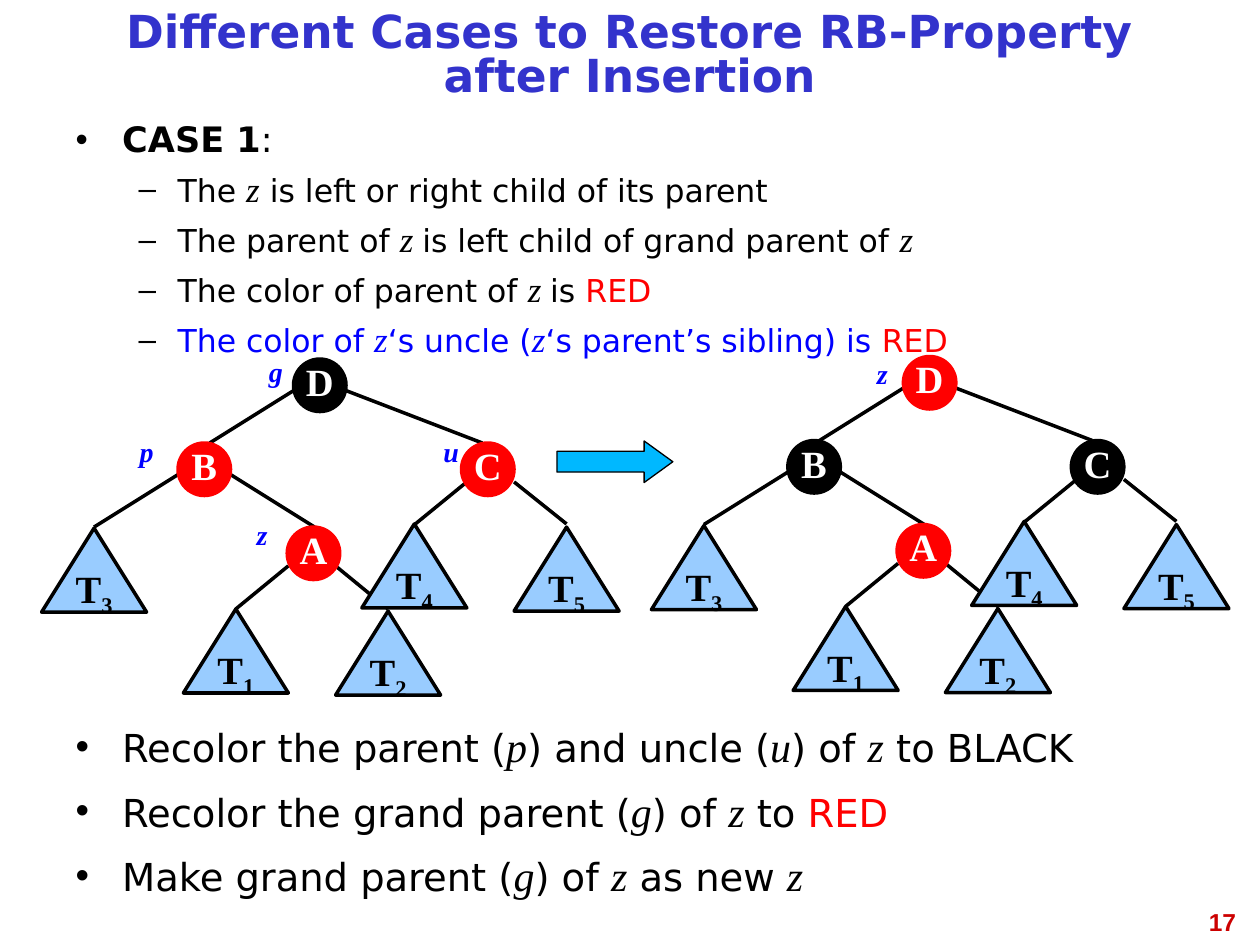
from dataclasses import dataclass

from lxml.etree import SubElement
from pptx import Presentation
from pptx.dml.color import RGBColor
from pptx.enum.shapes import MSO_CONNECTOR as Connector, MSO_SHAPE as Preset
from pptx.enum.text import MSO_ANCHOR as Anchor, MSO_AUTO_SIZE as AutoSize, PP_ALIGN as Align
from pptx.oxml.ns import qn
from pptx.util import Inches, Pt


@dataclass(frozen=True)
class Theme:
    sans: str = "DejaVu Sans"
    serif: str = "Times New Roman"
    number_font: str = "Arial"
    black: str = "000000"
    white: str = "FFFFFF"
    red: str = "FF0000"
    blue: str = "0000FF"
    title: str = "3333CC"
    number: str = "CC0000"
    subtree: str = "99CCFF"
    arrow: str = "00B8FF"
    title_size: int = 26
    node_size: int = 22
    label_size: int = 16
    number_size: int = 14
    tight: float = 0.81


THEME = Theme()
CELL = 1 / 12  # grid step of a tree, in inches
NODE, SUBTREE = (5, 5), (10, 8)  # sizes in grid cells
LABEL = (10, 4.4)

EDGES = [
    ((29, 3), (42, 8)), ((16, 8), (24, 3)), ((18, 11), (26, 16)), ((5, 16), (13, 11)),
    ((18.5, 23.8), (23.5, 19.7)), ((33, 23.8), (28, 19.7)),
    ((35.6, 15.7), (40.5, 11.7)), ((50, 15.7), (45, 11.7)),
]
NODES = {"D": (24, 0), "B": (13, 8), "A": (23.4, 16), "C": (40, 8)}
SUBTREES = {"1": (13.5, 23.8), "2": (28, 24), "3": (0, 16.1), "4": (30.5, 15.7), "5": (45, 16)}

# Pieces between bars: ~ starts a variable, ! a red word, # a bold word.
CASE_LINES = [
    (0, 20, THEME.black, "#CASE 1|:"),
    (1, 18, THEME.black, "The |~z| is left or right child of its parent"),
    (1, 18, THEME.black, "The parent of |~z |is left child of grand parent of |~z"),
    (1, 18, THEME.black, "The color of parent of |~z |is |!RED"),
    (1, 18, THEME.blue, "The color of |~z|‘s uncle (|~z|‘s parent’s sibling) is |!RED"),
]
ACTION_LINES = [
    (0, 22, THEME.black, "Recolor the parent (|~p|) and uncle (|~u|) of |~z| to BLACK"),
    (0, 22, THEME.black, "Recolor the grand parent (|~g|) of |~z| to |!RED"),
    (0, 22, THEME.black, "Make grand parent (|~g|) of |~z| as new |~z"),
]
BULLETS = [("•", 0.37, 0.37, 8), ("–", 0.81, 0.31, 7)]  # mark, margin, hanging, space before


def place(shape, box):
    for name, value in zip(("left", "top", "width", "height"), box):
        setattr(shape, name, Inches(value))


def add_run(paragraph, text, color, **formats):
    run = paragraph.add_run()
    run.text = text
    for name, value in formats.items():
        setattr(run.font, name, value)
    run.font.color.rgb = RGBColor.from_string(color)
    return run


def format_frame(frame, wrap=True, anchor=Anchor.TOP):
    formats = {"word_wrap": wrap, "auto_size": AutoSize.NONE, "vertical_anchor": anchor}
    for name, value in formats.items():
        setattr(frame, name, value)


def add_title(slide, box):
    title = slide.shapes.title
    place(title, box)
    format_frame(title.text_frame, anchor=Anchor.MIDDLE)
    paragraph = title.text_frame.paragraphs[0]
    paragraph.alignment, paragraph.line_spacing = Align.CENTER, THEME.tight
    add_run(paragraph, "Different Cases to Restore RB-Property after Insertion",
            THEME.title, name=THEME.sans, size=Pt(THEME.title_size), bold=True)


def set_bullet(paragraph, mark, margin, hanging):
    properties = paragraph._p.get_or_add_pPr()
    properties.set("marL", str(Inches(margin)))
    properties.set("indent", str(-Inches(hanging)))
    color = SubElement(properties, qn("a:buClr"))
    SubElement(color, qn("a:srgbClr"), val=THEME.black)
    SubElement(properties, qn("a:buChar"), char=mark)


def add_list(body, box, lines, line_spacing):
    place(body, box)
    frame = body.text_frame
    format_frame(frame)
    for index, (level, size, color, text) in enumerate(lines):
        paragraph = frame.add_paragraph() if index else frame.paragraphs[0]
        mark, margin, hanging, space = BULLETS[level]
        set_bullet(paragraph, mark, margin, hanging)
        formats = {"level": level, "alignment": Align.JUSTIFY, "line_spacing": line_spacing,
                   "space_before": Pt(space if index else 0)}
        for name, value in formats.items():
            setattr(paragraph, name, value)
        for piece in text.split("|"):
            variable = piece.startswith("~")
            add_run(paragraph, piece.lstrip("~!#"),
                    THEME.red if piece.startswith("!") else color,
                    name=THEME.serif if variable else THEME.sans,
                    size=Pt(size + 2 if variable and size != 20 else size),
                    italic=variable, bold=piece.startswith("#"))


def add_preset(slide, preset, box, fill, line, width):
    shape = slide.shapes.add_shape(preset, *map(Inches, box))
    shape.shadow.inherit = False
    shape.fill.solid()
    shape.fill.fore_color.rgb = RGBColor.from_string(fill)
    shape.line.color.rgb = RGBColor.from_string(line)
    shape.line.width = Pt(width)
    return shape


def add_text(slide, box, text, color, align, **formats):
    text_box = slide.shapes.add_textbox(*map(Inches, box))
    format_frame(text_box.text_frame)
    paragraph = text_box.text_frame.paragraphs[0]
    paragraph.alignment = align
    add_run(paragraph, text, color, bold=True, **formats)


def add_tree(slide, left, top, black_nodes, labels):
    """Draw a tree from its top left corner, with parts set in grid cells."""
    def point(cell):
        return left + cell[0] * CELL, top + cell[1] * CELL

    def box(cell, size):
        return *point(cell), size[0] * CELL, size[1] * CELL

    def write(shape, text, color, subscript=""):
        format_frame(shape.text_frame, wrap=False, anchor=Anchor.MIDDLE)
        paragraph = shape.text_frame.paragraphs[0]
        paragraph.alignment, paragraph.line_spacing = Align.CENTER, THEME.tight
        formats = {"name": THEME.serif, "size": Pt(THEME.node_size), "bold": True}
        add_run(paragraph, text, color, **formats)
        if subscript:
            run = add_run(paragraph, subscript, color, **formats)
            run._r.get_or_add_rPr().set("baseline", "-25000")

    for start, end in EDGES:
        edge = slide.shapes.add_connector(
            Connector.STRAIGHT, *map(Inches, point(start) + point(end)))
        edge.line.color.rgb = RGBColor.from_string(THEME.black)
        edge.line.width = Pt(2)
        SubElement(edge._element.spPr, qn("a:effectLst"))
    for name, cell in NODES.items():
        color = THEME.black if name in black_nodes else THEME.red
        write(add_preset(slide, Preset.OVAL, box(cell, NODE), color, color, 2),
              name, THEME.white)
    for number, cell in SUBTREES.items():
        triangle = add_preset(slide, Preset.ISOSCELES_TRIANGLE, box(cell, SUBTREE),
                              THEME.subtree, THEME.black, 2)
        write(triangle, "T", THEME.black, number)
    for text, cell in labels.items():
        add_text(slide, box(cell, LABEL), text, THEME.blue, Align.CENTER,
                 name=THEME.serif, size=Pt(THEME.label_size), italic=True)


def add_arrow(slide, box):
    arrow = add_preset(slide, Preset.RIGHT_ARROW, box, THEME.arrow, THEME.black, 0.75)
    arrow.adjustments[1] = 0.69


def main():
    presentation = Presentation()
    presentation.slide_width, presentation.slide_height = Inches(10), Inches(7.5)
    slide = presentation.slides.add_slide(presentation.slide_layouts[3])
    add_title(slide, (0.5, 0.08, 9, 0.75))
    add_list(slide.placeholders[1], (0.5, 0.92, 9, 2), CASE_LINES, 0.9)
    add_tree(slide, 0.33, 2.85, "D",
             {"p": (5, 6.6), "u": (34, 6.6), "g": (17.3, -1), "z": (16, 14.5)})
    add_list(slide.placeholders[2], (0.5, 5.67, 9, 1.58), ACTION_LINES, 1.0)
    add_tree(slide, 5.17, 2.83, "BC", {"z": (17, -0.6)})
    add_arrow(slide, (4.42, 3.5, 0.92, 0.33))
    add_text(slide, (7.58, 7.15, 2.33, 0.35), "17", THEME.number, Align.RIGHT,
             name=THEME.number_font, size=Pt(THEME.number_size))
    presentation.save("out.pptx")


if __name__ == "__main__":
    main()
